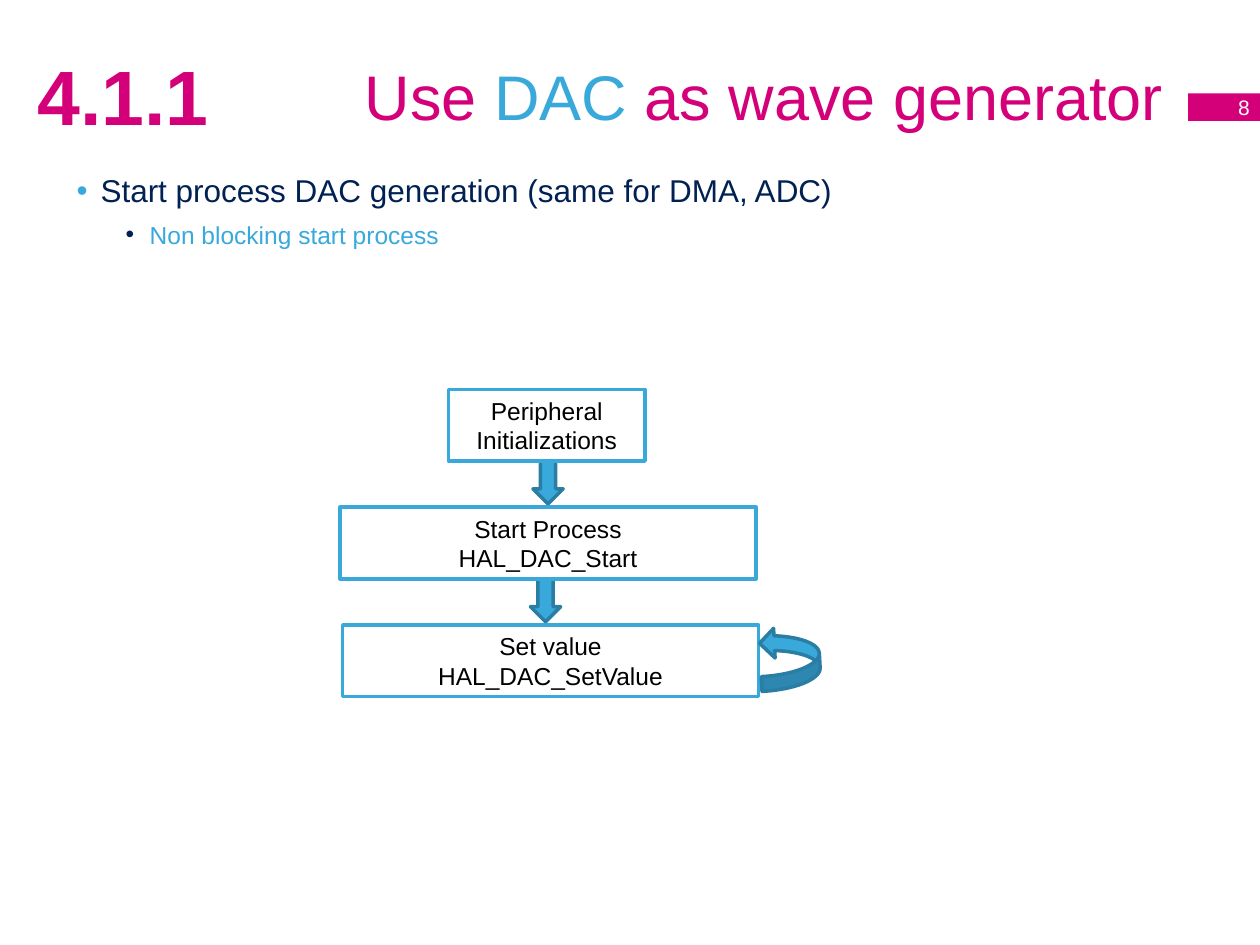
from lxml import etree
from pptx import Presentation
from pptx.dml.color import RGBColor
from pptx.enum.shapes import MSO_SHAPE
from pptx.enum.text import MSO_ANCHOR, PP_ALIGN
from pptx.oxml.ns import qn
from pptx.util import Inches, Pt

PINK, BLUE, NAVY, EDGE = "D4007A", "39A9DC", "002152", "2A7DA3"
WHITE, BLACK = "FFFFFF", "000000"


def color(value):
    return RGBColor.from_string(value)


def place(shape, box):
    shape.left, shape.top, shape.width, shape.height = map(Inches, box)


def bullet(para, indent, tint):
    props = para._p.get_or_add_pPr()
    props.set("marL", str(Inches(indent)))
    props.set("indent", str(-Inches(0.19)))
    holder = etree.SubElement(props, qn("a:buClr"))
    etree.SubElement(holder, qn("a:srgbClr"), val=tint)
    etree.SubElement(props, qn("a:buFont"), typeface="Arial")
    etree.SubElement(props, qn("a:buChar"), char="•")


def write(para, text, size=14, tint=BLACK, bold=False, align=None):
    para.alignment = align
    run = para.add_run()
    run.text = text
    font = run.font
    font.name, font.size, font.bold = "Arial", Pt(size), bold
    font.color.rgb = color(tint)


def draw(slide, kind, box, fill, line=None):
    shape = slide.shapes.add_shape(kind, *map(Inches, box))
    shape.shadow.inherit = False
    shape.fill.solid()
    shape.fill.fore_color.rgb = color(fill)
    if line:
        shape.line.color.rgb = color(line)
        shape.line.width = Pt(2)
    else:
        shape.line.fill.background()
    return shape


def add_text(slide, box, anchor=MSO_ANCHOR.TOP):
    frame = slide.shapes.add_textbox(*map(Inches, box)).text_frame
    frame.word_wrap = True
    frame.vertical_anchor = anchor
    return frame


def add_head(slide, box):
    left, top, width, height = box
    title = slide.shapes.title
    place(title, (left + 0.3, top, width - 0.97, height))
    frame = title.text_frame
    frame.word_wrap = True
    frame.vertical_anchor = MSO_ANCHOR.MIDDLE
    for text, tint in (("Use", PINK), (" DAC ", BLUE), ("as wave generator", PINK)):
        write(frame.paragraphs[0], text, size=36, tint=tint, align=PP_ALIGN.RIGHT)

    frame = add_text(slide, (left, top, 1.89, height), MSO_ANCHOR.MIDDLE)
    write(frame.paragraphs[0], "4.1.1", size=44, tint=PINK, bold=True)

    tab = draw(slide, MSO_SHAPE.RECTANGLE,
               (left + width - 0.57, top + 0.61, 0.57, 0.22), PINK)
    frame = tab.text_frame
    frame.margin_top = frame.margin_bottom = 0
    frame.margin_right = Inches(0.08)
    frame.vertical_anchor = MSO_ANCHOR.MIDDLE
    write(frame.paragraphs[0], "8", size=12, tint=WHITE, align=PP_ALIGN.RIGHT)


def add_points(slide, box):
    frame = add_text(slide, box)
    first, second = frame.paragraphs[0], frame.add_paragraph()
    second.level = 1
    for para in (first, second):
        para.space_after = Pt(6)
    bullet(first, 0.19, BLUE)
    bullet(second, 0.58, NAVY)
    write(first, "Start process DAC generation (same for DMA, ADC)", size=18, tint=NAVY)
    write(second, "Non blocking start process", tint=BLUE)


def add_flow(slide, box):
    left, top, width, height = box
    tall, arrow = 0.57, 0.34
    step = (height - tall) / 2
    for row, shift in enumerate((1.53, 1.51)):
        draw(slide, MSO_SHAPE.DOWN_ARROW,
             (left + shift, top + row * step + tall, 0.24, arrow), BLUE, EDGE)

    steps = (
        (0.86, 1.56, ["Peripheral Initializations"]),
        (0, 3.3, ["Start Process", "HAL_DAC_Start"]),
        (0.02, 3.3, ["Set value", "HAL_DAC_SetValue"]),
    )
    for row, (shift, wide, lines) in enumerate(steps):
        shape = draw(slide, MSO_SHAPE.RECTANGLE,
                     (left + shift, top + row * step, wide, tall), WHITE, BLUE)
        frame = shape.text_frame
        frame.word_wrap = True
        frame.vertical_anchor = MSO_ANCHOR.MIDDLE
        for spot, text in enumerate(lines):
            para = frame.add_paragraph() if spot else frame.paragraphs[0]
            write(para, text, align=PP_ALIGN.CENTER)

    loop = draw(slide, MSO_SHAPE.CURVED_UP_ARROW,
                (left + width - 0.5, top + 2 * step + 0.03, 0.5, 0.47), BLUE, EDGE)
    loop.rotation = 267


def main():
    deck = Presentation()
    deck.slide_width, deck.slide_height = Inches(10), Inches(7.5)
    slide = deck.slides.add_slide(deck.slide_layouts[5])
    add_head(slide, (0.2, 0.13, 9.8, 1.25))
    add_points(slide, (0.51, 1.31, 9, 0.72))
    add_flow(slide, (2.7, 3.09, 3.82, 2.44))
    deck.save("out.pptx")


if __name__ == "__main__":
    main()
